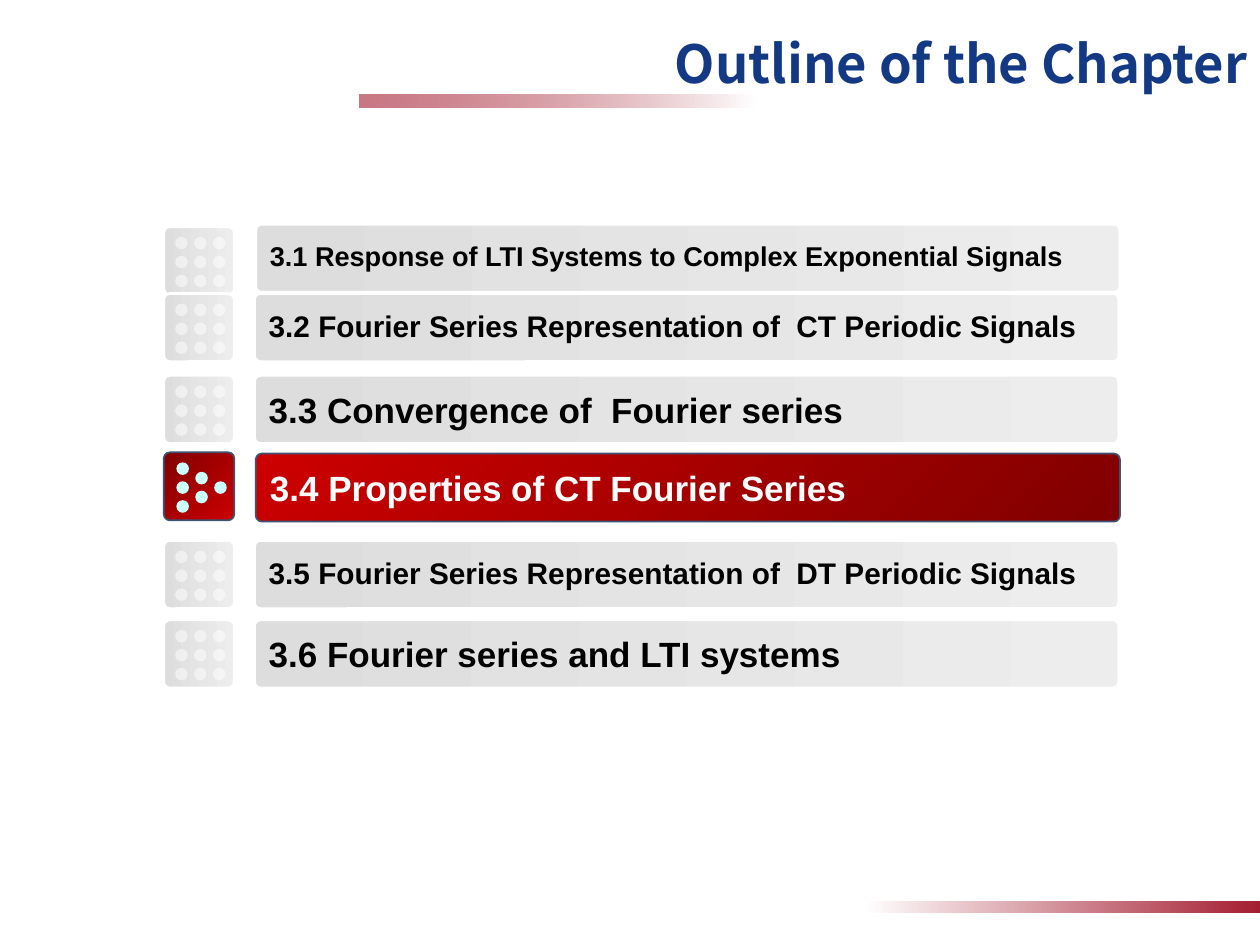
import pptx
import pptx.util
import pptx.dml.color
import pptx.enum.shapes
import pptx.enum.text
import pptx.oxml.ns
import lxml.etree

Inches = pptx.util.Inches
Pt = pptx.util.Pt
RGBColor = pptx.dml.color.RGBColor
Shape = pptx.enum.shapes.MSO_SHAPE
Align = pptx.enum.text.PP_ALIGN
Anchor = pptx.enum.text.MSO_ANCHOR

WHITE = RGBColor(0xFF, 0xFF, 0xFF)
BLACK = RGBColor(0x00, 0x00, 0x00)
NAVY = RGBColor(0x13, 0x39, 0x84)
CRIMSON = RGBColor(0xA4, 0x1E, 0x31)
RED = RGBColor(0xCC, 0x00, 0x00)
DARK_RED = RGBColor(0x81, 0x00, 0x00)
SLATE = RGBColor(0x3C, 0x53, 0x74)
PALE_CYAN = RGBColor(0xCC, 0xFF, 0xFF)
GREY = RGBColor(0xDD, 0xDD, 0xDD)
LIGHT_GREY = RGBColor(0xED, 0xED, 0xED)


def add_filled(shapes, kind, place, colours, angle=0, alpha=100, line=None, width=1):
    """Add a shape with one colour or a two-colour gradient; alpha is for the last colour.

    The angle runs counter-clockwise.
    """
    shape = shapes.add_shape(kind, *[Inches(length) for length in place])
    shape.shadow.inherit = False
    if len(colours) == 1:
        shape.fill.solid()
        shape.fill.fore_color.rgb = colours[0]
    else:
        shape.fill.gradient()
        shape.fill.gradient_angle = angle
        for stop, colour in zip(shape.fill.gradient_stops, colours):
            stop.color.rgb = colour
    if alpha < 100:
        last_colour = shape.element.xpath("./p:spPr//a:srgbClr")[-1]
        lxml.etree.SubElement(last_colour, pptx.oxml.ns.qn("a:alpha"), val=str(alpha * 1000))
    if line is None:
        shape.line.fill.background()
    else:
        shape.line.color.rgb = line
        shape.line.width = Pt(width)
    if kind == Shape.ROUNDED_RECTANGLE:
        shape.adjustments[0] = 0.09
    return shape


def write(shape, text, size, colour, font="Arial", align=Align.LEFT, anchor=Anchor.MIDDLE, spacing=1.0):
    frame = shape.text_frame
    frame.word_wrap = True
    frame.vertical_anchor = anchor
    para = frame.paragraphs[0]
    para.alignment = align
    para.line_spacing = spacing
    span = para.add_run()
    span.text = text
    span.font.name = font
    span.font.size = Pt(size)
    span.font.bold = True
    span.font.color.rgb = colour


deck = pptx.Presentation()
deck.slide_width = Inches(10)
deck.slide_height = Inches(7.5)
page = deck.slides.add_slide(deck.slide_layouts[6])

# Fading bars under the title and at the foot
add_filled(page.shapes, Shape.RECTANGLE, (2.85, 0.75, 3.15, 0.1), (WHITE, CRIMSON), angle=180, alpha=60)
add_filled(page.shapes, Shape.RECTANGLE, (6.85, 7.15, 3.15, 0.1), (WHITE, CRIMSON))

title = page.shapes.add_textbox(Inches(0), Inches(0.2), Inches(10), Inches(0.75))
write(title, "Outline of the Chapter", 30, NAVY, font="Noto Sans CJK SC", align=Align.RIGHT, anchor=Anchor.TOP)

# Section text, icon top, bar left, bar top, text size, line spacing
sections = [
    ("3.1 Response of LTI Systems to Complex Exponential Signals", 1.8, 2.03, 1.78, 15.5, 0.8),
    ("3.2 Fourier Series Representation of  CT Periodic Signals", 2.33, 2.02, 2.33, 17, 0.9),
    ("3.3 Convergence of  Fourier series", 2.98, 2.02, 2.98, 20, 1.0),
    ("3.4 Properties of CT Fourier Series", 3.59, 2.03, 3.6, 20, 1.0),
    ("3.5 Fourier Series Representation of  DT Periodic Signals", 4.29, 2.02, 4.29, 17, 0.9),
    ("3.6 Fourier series and LTI systems", 4.92, 2.02, 4.92, 20, 1.0),
]
CURRENT_SECTION = "3.4"
DOT_STEP = 0.15

# Dot places as (column, row)
square_dots = [(column, row) for row in range(3) for column in range(3)]
arrow_dots = [(column, row + column / 2) for column in range(3) for row in range(3 - column)]

for text, icon_top, bar_left, bar_top, size, spacing in sections:
    if text.startswith(CURRENT_SECTION):
        icon_colours, bar_colours, angle = (DARK_RED, RED), (RED, DARK_RED), 315
        line, width, text_colour = SLATE, 1, WHITE
        dots, dot_left, dot_colour, alpha = arrow_dots, 1.4, PALE_CYAN, 100
    else:
        icon_colours, bar_colours, angle = (GREY, LIGHT_GREY), (GREY, LIGHT_GREY), 0
        line, width, text_colour = WHITE, 1.5, BLACK
        dots, dot_left, dot_colour, alpha = square_dots, 1.39, WHITE, 50

    add_filled(page.shapes, Shape.ROUNDED_RECTANGLE, (1.3, icon_top, 0.56, 0.54),
               icon_colours, angle=angle, line=line, width=width)
    bar = add_filled(page.shapes, Shape.ROUNDED_RECTANGLE, (bar_left, bar_top, 6.86, 0.54),
                     bar_colours, angle=angle, line=line, width=width)
    write(bar, text, size, text_colour, spacing=spacing)

    dot_group = page.shapes.add_group_shape()
    for column, row in dots:
        place = (dot_left + column * DOT_STEP, icon_top + 0.08 + row * DOT_STEP, 0.1, 0.1)
        add_filled(dot_group.shapes, Shape.OVAL, place, (dot_colour,), alpha=alpha)

deck.save("out.pptx")
